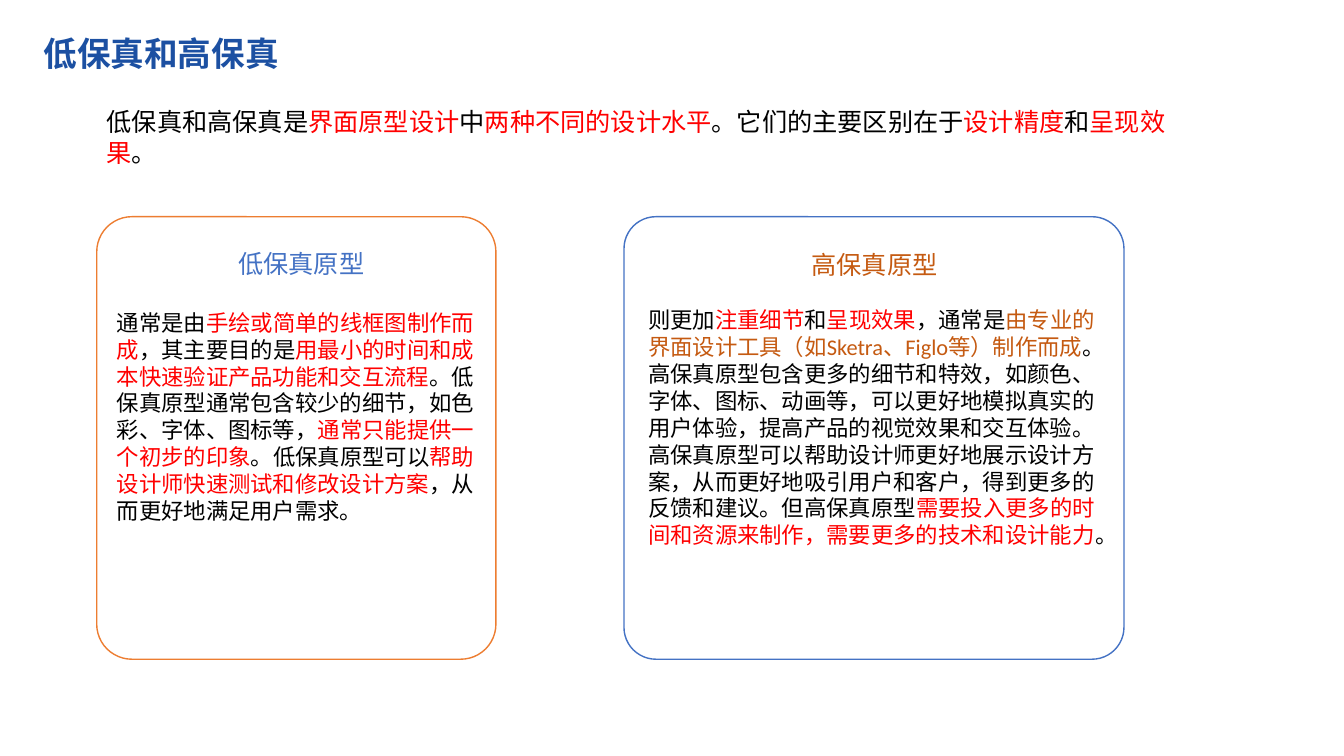
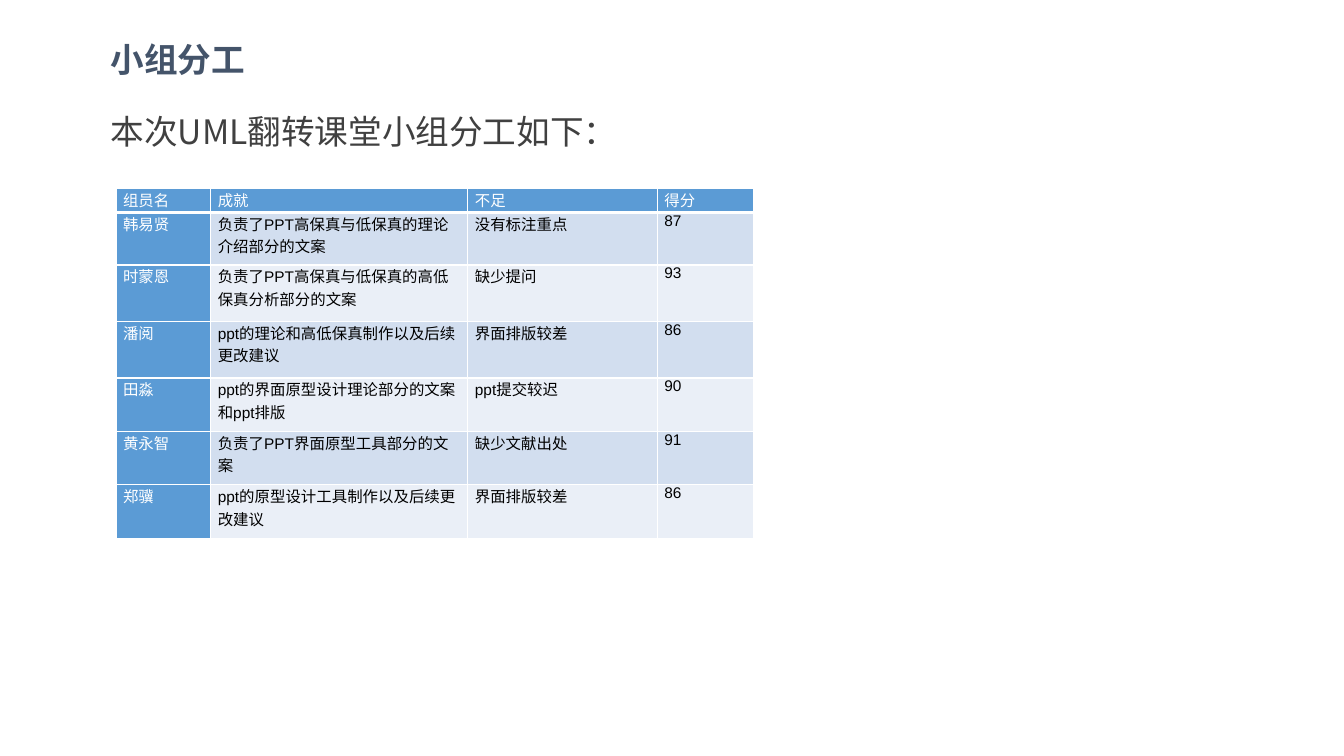
from lxml import etree
from pptx import Presentation
from pptx import util as u
from pptx.dml.color import RGBColor
from pptx.enum import shapes, text
from pptx.oxml.ns import qn

RED, BLACK, WHITE = "FF0000", "000000", "FFFFFF"
BLUE, ORANGE, BROWN = "4472C4", "ED7D31", "C55A11"
HEADER, BANDS = "5B9BD5", ("D2DEEF", "EAEFF7")
LATIN, CHINESE = "Calibri", "Noto Sans CJK SC"
LEFT, CENTER = text.PP_ALIGN.LEFT, text.PP_ALIGN.CENTER

presentation = Presentation()
presentation.slide_width = u.Inches(13.33)
presentation.slide_height = u.Inches(7.5)


def paint(target, color):
    """Give a fill a solid hex colour."""
    target.solid()
    target.fore_color.rgb = RGBColor.from_string(color)


def write(frame, runs, size=18, font=LATIN, asian=None, color=BLACK, bold=False,
          align=LEFT, before=0, spacing=None):
    """Add a paragraph; a run is a string or a (string, colour) pair."""
    paragraph = frame.paragraphs[0]
    if paragraph.runs:
        paragraph = frame.add_paragraph()
    paragraph.alignment = align
    if before:
        paragraph.space_before = u.Pt(before)
    if spacing:
        paragraph.line_spacing = spacing
    for piece in [runs] if isinstance(runs, str) else runs:
        words, tint = (piece, color) if isinstance(piece, str) else piece
        run = paragraph.add_run()
        run.text = words
        run.font.size, run.font.name, run.font.bold = u.Pt(size), font, bold
        paint(run.font.fill, tint)
        etree.SubElement(run.font._element, qn("a:ea"), typeface=asian or font)


# Content: every box is left, top, width, height in percent of the slide
titles = [
    ("低保真和高保真", (3.23, 3.33, 20.4, 7.33), "1C50A2", LATIN, LEFT),
    ("小组分工", (7.5, 4.13, 11.48, 7.33), "44546A", CHINESE, CENTER),
]
intros = [
    (["低保真和高保真是", ("界面原型设计", RED), "中", ("两种不同的设计水平", RED),
      "。它们的主要区别在于", ("设计精度", RED), "和", ("呈现效果", RED), "。"],
     (7.2, 13.47, 80.55, 9.47), dict(size=18)),
    ("本次UML翻转课堂小组分工如下：", (7.5, 11.33, 41.7, 9.47),
     dict(size=24, font=CHINESE, color="404040", spacing=1.5)),
]
cards = [
    dict(box=(46.43, 28.67, 37.2, 58.53), round=0.072, line=BLUE,
         words=(47.48, 32.27, 35.18, 41.33), heading="高保真原型", color=BROWN, gap=19.5,
         body=["则更加", ("注重细节", RED), "和", ("呈现效果", RED), "，通常是",
               ("由专业的界面设计工具（如Sketra、Figlo等）制作而成", BROWN),
               "。高保真原型包含更多的细节和特效，如颜色、字体、图标、动画等，"
               "可以更好地模拟真实的用户体验，提高产品的视觉效果和交互体验。"
               "高保真原型可以帮助设计师更好地展示设计方案，从而更好地吸引用户和客户，"
               "得到更多的反馈和建议。但高保真原型",
               ("需要投入更多的时间和资源来制作，需要更多的技术和设计能力", RED), "。"]),
    dict(box=(7.2, 28.67, 29.7, 58.53), round=0.088, line=ORANGE,
         words=(7.95, 32.13, 28.95, 37), heading="低保真原型", color=BLUE, gap=22,
         body=["通常是由", ("手绘或简单的线框图制作而成", RED), "，其主要目的是",
               ("用最小的时间和成本快速验证产品功能和交互流程", RED),
               "。低保真原型通常包含较少的细节，如色彩、字体、图标等，",
               ("通常只能提供一个初步的印象", RED), "。低保真原型可以",
               ("帮助设计师快速测试和修改设计方案", RED), "，从而更好地满足用户需求。"]),
]
members = [
    ("组员名", "成就", "不足", "得分"),
    ("韩易贤", "负责了PPT高保真与低保真的理论介绍部分的文案", "没有标注重点", "87"),
    ("时蒙恩", "负责了PPT高保真与低保真的高低保真分析部分的文案", "缺少提问", "93"),
    ("潘阅", "ppt的理论和高低保真制作以及后续更改建议", "界面排版较差", "86"),
    ("田淼", "ppt的界面原型设计理论部分的文案和ppt排版", "ppt提交较迟", "90"),
    ("黄永智", "负责了PPT界面原型工具部分的文案", "缺少文献出处", "91"),
    ("郑骥", "ppt的原型设计工具制作以及后续更改建议", "界面排版较差", "86"),
]
column_shares = (7.05, 19.13, 14.1, 7.2)
row_shares = (3.2, 6.93, 7.47, 7.47, 7.07, 7.07, 7.07)


def place(box):
    """Turn percent shares into slide lengths."""
    sides = (presentation.slide_width, presentation.slide_height) * 2
    return [u.Emu(round(share * side / 100)) for share, side in zip(box, sides)]


# Titles and introductions of both slides
slides = []
for (title, box, color, font, align), (intro, intro_box, style) in zip(titles, intros):
    slide = presentation.slides.add_slide(presentation.slide_layouts[6])
    slides.append(slide)
    frame = slide.shapes.add_textbox(*place(box)).text_frame
    frame.word_wrap = True
    frame.margin_left = frame.margin_right = 0
    frame.vertical_anchor = text.MSO_ANCHOR.MIDDLE
    write(frame, title, size=24, font=font, color=color, bold=True, align=align)
    frame = slide.shapes.add_textbox(*place(intro_box)).text_frame
    frame.word_wrap = True
    write(frame, intro, **style)

# Slide 1: two rounded cards
for card in cards:
    shape = slides[0].shapes.add_shape(shapes.MSO_SHAPE.ROUNDED_RECTANGLE, *place(card["box"]))
    shape.adjustments[0] = card["round"]
    shape.shadow.inherit = False
    paint(shape.fill, WHITE)
    paint(shape.line.fill, card["line"])
    shape.line.width = u.Pt(1)
    frame = slides[0].shapes.add_textbox(*place(card["words"])).text_frame
    frame.word_wrap = True
    write(frame, card["heading"], color=card["color"], align=CENTER)
    write(frame, card["body"], size=16, before=card["gap"])

# Slide 2: table of members
table_box = (8.63, 24.93, sum(column_shares), sum(row_shares))
table = slides[1].shapes.add_table(len(members), len(column_shares), *place(table_box)).table
for column, share in zip(table.columns, column_shares):
    column.width = place([share])[0]
for row, share in zip(table.rows, row_shares):
    row.height = place([0, share])[1]
for r, member in enumerate(members):
    for c, words in enumerate(member):
        cell = table.cell(r, c)
        cell.margin_left = cell.margin_right = u.Inches(0.07)
        cell.margin_top = cell.margin_bottom = 0
        is_head = r == 0 or c == 0
        write(cell.text_frame, words, size=11, font="Arial", asian=CHINESE,
              color=WHITE if is_head else BLACK)
        # White borders, thicker between the header and the first member
        properties = cell._tc.get_or_add_tcPr()
        for side in ("L", "R", "T", "B"):
            thick = (r, side) in ((0, "B"), (1, "T"))
            border = etree.SubElement(properties, qn("a:ln" + side), w=str(u.Pt(3 if thick else 1)))
            solid = etree.SubElement(border, qn("a:solidFill"))
            etree.SubElement(solid, qn("a:srgbClr"), val=WHITE)
        paint(cell.fill, HEADER if is_head else BANDS[(r - 1) % 2])

presentation.save("out.pptx")
